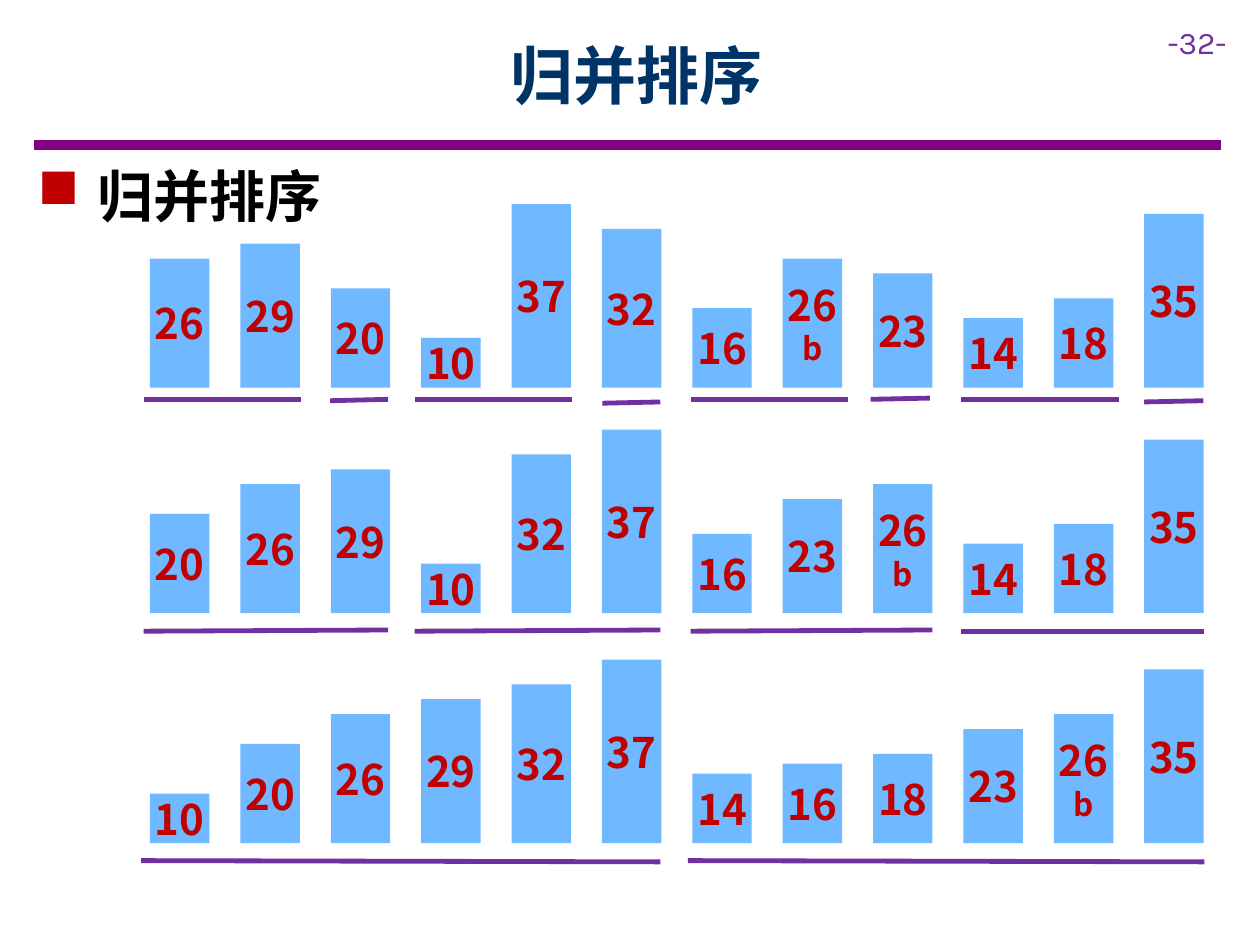
from lxml import etree
from pptx import Presentation
from pptx.dml.color import RGBColor
from pptx.enum.shapes import MSO_CONNECTOR, MSO_SHAPE
from pptx.enum.text import MSO_ANCHOR, MSO_AUTO_SIZE, PP_ALIGN
from pptx.oxml.ns import qn
from pptx.util import Pt

STRAIGHT = MSO_CONNECTOR.STRAIGHT
RECTANGLE = MSO_SHAPE.RECTANGLE
MIDDLE = MSO_ANCHOR.MIDDLE
CENTER = PP_ALIGN.CENTER
NO_AUTOFIT = MSO_AUTO_SIZE.NONE

COLORS = {
    "title": "003366",
    "rule": "800080",
    "accent": "7030A0",
    "red": "C00000",
    "bar": "70B8FF",
    "text": "000000",
}
CJK_FONT = "Noto Sans CJK SC"
NUMBER_FONT = "Karla"

BAR_WIDTH = 34
BAR_PITCH = 51.65
POINTS_PER_UNIT = 2.835  # one millimetre of bar height per unit of value

ROW_LEFT = 85.7
# Each row: baseline, values, underlines as (start, end, drop at start, drop at end)
ROWS = [
    (221.5,
     ["26", "29", "20", "10", "37", "32", "16", "26b", "23", "14", "18", "35"],
     [(-3.6, 86.4, 6.7, 6.7), (103, 136.1, 7.5, 6.7),
      (151.2, 241.2, 6.7, 6.7), (258.5, 291.6, 8.9, 8.2),
      (308.9, 398.9, 6.7, 6.7), (411.8, 445.7, 6.7, 6),
      (463.7, 553.7, 6.7, 6.7), (568.1, 601.9, 8.2, 7.5)]),
    (350.4,
     ["20", "26", "29", "10", "32", "37", "16", "23", "26b", "14", "18", "35"],
     [(-3.6, 136.1, 10.3, 9.6), (151.2, 291.6, 10.3, 9.6),
      (308.9, 447.1, 10.3, 9.6), (463.7, 602.6, 10.3, 10.3)]),
    (481.8,
     ["10", "20", "26", "29", "32", "37", "14", "16", "18", "23", "26b", "35"],
     [(-5, 291.6, 10, 10.7), (307.4, 602.6, 10, 10.7)]),
]


def color(name):
    return RGBColor.from_string(COLORS[name])


def style_runs(paragraph, size, color_name, font=CJK_FONT, bold=True):
    for run in paragraph.runs:
        run.font.size = Pt(size)
        run.font.bold = bold
        run.font.color.rgb = color(color_name)
        run.font.name = font
        east_asian = etree.SubElement(run.font._element, qn("a:ea"))
        east_asian.set("typeface", font)


def add_line(slide, start, end, color_name, width):
    line = slide.shapes.add_connector(
        STRAIGHT, Pt(start[0]), Pt(start[1]), Pt(end[0]), Pt(end[1]))
    line.line.color.rgb = color(color_name)
    line.line.width = Pt(width)
    etree.SubElement(line._element.spPr, qn("a:effectLst"))


def add_text_box(slide, left, top, width, height, text):
    frame = slide.shapes.add_textbox(
        Pt(left), Pt(top), Pt(width), Pt(height)).text_frame
    frame.word_wrap = True
    frame.text = text
    return frame.paragraphs[0]


def add_header(slide, left, top, width, height):
    # Title
    title = slide.shapes.title
    title.left, title.top = Pt(left + 45), Pt(top)
    title.width, title.height = Pt(598), Pt(height)
    frame = title.text_frame
    frame.text = "归并排序"
    frame.auto_size = NO_AUTOFIT
    frame.vertical_anchor = MIDDLE
    frame.paragraphs[0].alignment = CENTER
    style_runs(frame.paragraphs[0], 36, "title")

    # Page number and rule under the title
    page_number = add_text_box(slide, left + 640.5, top + 3, 60, 28.8, "-32-")
    style_runs(page_number, 18, "accent", NUMBER_FONT, bold=False)
    rule_y = top + height + 4.3
    add_line(slide, (left, rule_y), (left + width, rule_y), "rule", 6)


def add_heading(slide, left, top, width, height):
    heading = add_text_box(slide, left, top, width, height, "归并排序")
    properties = heading._p.get_or_add_pPr()
    properties.set("marL", str(Pt(34.5)))
    properties.set("indent", str(-Pt(34.5)))
    bullet_color = etree.SubElement(properties, qn("a:buClr"))
    etree.SubElement(bullet_color, qn("a:srgbClr")).set("val", COLORS["red"])
    etree.SubElement(properties, qn("a:buChar")).set("char", "■")
    heading.space_after = Pt(6)
    style_runs(heading, 32, "text")


def add_bar(slide, left, baseline, label):
    number, suffix = label[:2], label[2:]
    height = int(number) * POINTS_PER_UNIT
    bar = slide.shapes.add_shape(
        RECTANGLE, Pt(left), Pt(baseline - height), Pt(BAR_WIDTH), Pt(height))
    bar.shadow.inherit = False
    bar.fill.solid()
    bar.fill.fore_color.rgb = color("bar")
    bar.line.fill.background()
    frame = bar.text_frame
    frame.margin_left = frame.margin_right = 0
    frame.margin_top = frame.margin_bottom = Pt(7.2)
    frame.vertical_anchor = MIDDLE
    frame.text = f"{number}\n{suffix}" if suffix else number
    for paragraph, size in zip(frame.paragraphs, (24, 18)):
        paragraph.alignment = CENTER
        style_runs(paragraph, size, "red")


def add_sort_row(slide, left, baseline, labels, underlines):
    for index, label in enumerate(labels):
        add_bar(slide, left + index * BAR_PITCH, baseline, label)
    for start, end, start_drop, end_drop in underlines:
        add_line(slide, (left + start, baseline + start_drop),
                 (left + end, baseline + end_drop), "accent", 2.75)


def main():
    presentation = Presentation()
    presentation.slide_width, presentation.slide_height = Pt(720), Pt(540)
    slide = presentation.slides.add_slide(presentation.slide_layouts[5])
    add_header(slide, 19.7, 6.5, 678, 72)
    add_heading(slide, 14.4, 88.5, 680.4, 46)
    for baseline, labels, underlines in ROWS:
        add_sort_row(slide, ROW_LEFT, baseline, labels, underlines)
    presentation.save("out.pptx")


if __name__ == "__main__":
    main()
